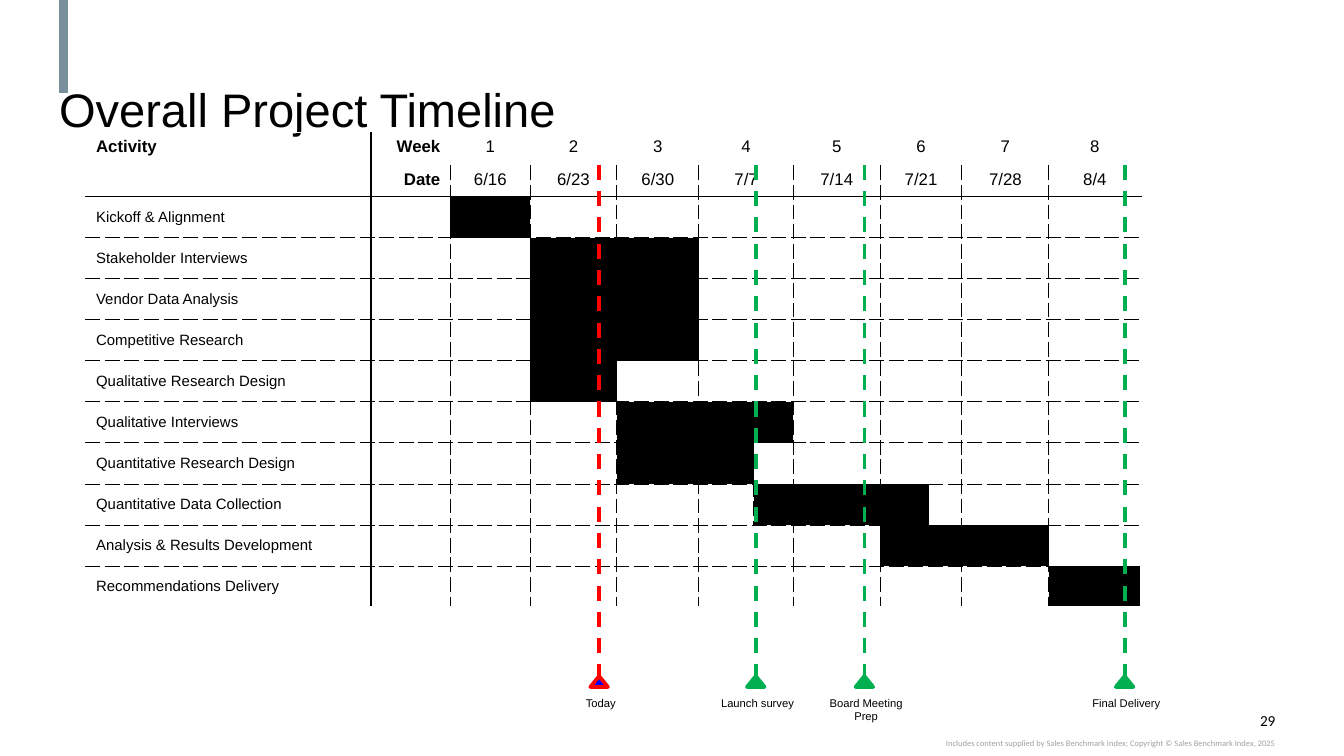
import pptx
import pptx.util
import pptx.dml.color
import pptx.enum.text
import pptx.enum.shapes
import pptx.enum.dml
import pptx.oxml.ns
import lxml.etree

Pt = pptx.util.Pt
ALIGN = pptx.enum.text.PP_ALIGN
ANCHOR = pptx.enum.text.MSO_ANCHOR
qn = pptx.oxml.ns.qn

HUES = {
    "ink": "000000",
    "paper": "FFFFFF",
    "slate": "78909C",
    "mute": "A0A0A0",
    "green": "00B050",
    "red": "FF0000",
    "blue": "0000FF",
}

WIDTHS = [152.6, 42.6, 42.8, 46.4, 44, 29.4, 21.2, 46.6, 26, 17.8, 46.6, 49.3]
HEIGHTS = [17.6, 16.7] + [22] * 10
WEEKS = [
    (2, "1", "6/16"), (3, "2", "6/23"), (4, "3", "6/30"), (5, "4", "7/7"),
    (7, "5", "7/14"), (8, "6", "7/21"), (10, "7", "7/28"), (11, "8", "8/4"),
]
TASKS = [
    ("Kickoff & Alignment", 2, 2),
    ("Stakeholder Interviews", 3, 4),
    ("Vendor Data Analysis", 3, 4),
    ("Competitive Research", 3, 4),
    ("Qualitative Research Design", 3, 3),
    ("Qualitative Interviews", 4, 6),
    ("Quantitative Research Design", 4, 5),
    ("Quantitative Data Collection", 6, 8),
    ("Analysis & Results Development", 8, 10),
    ("Recommendations Delivery", 11, 11),
]
SPLITS = {5: (8, 9), 8: (9,)}
MARKS = [
    ("Board Meeting Prep", 463.1, "green", "green"),
    ("Final Delivery", 602.5, "green", "green"),
    ("Today", 321, "red", "blue"),
    ("Launch survey", 404.9, "green", "green"),
]


class Deck:
    font = "Arial"

    def __init__(self, width, height):
        self.show = pptx.Presentation()
        self.show.slide_width = Pt(width)
        self.show.slide_height = Pt(height)
        self.slide = self.show.slides.add_slide(self.show.slide_layouts[5])

    def color(self, name):
        return pptx.dml.color.RGBColor.from_string(HUES[name])

    def words(self, frame, text, size, align=ALIGN.LEFT, hue="ink", bold=False, font=None):
        frame.text = text
        for para in frame.paragraphs:
            para.alignment = align
            for run in para.runs:
                run.font.name = font or self.font
                run.font.size = Pt(size)
                run.font.bold = bold
                run.font.color.rgb = self.color(hue)

    def title(self, text, left, top, width, height, size):
        shape = self.slide.shapes.title
        shape.left, shape.top = Pt(left), Pt(top)
        shape.width, shape.height = Pt(width), Pt(height)
        frame = shape.text_frame
        frame.auto_size = pptx.enum.text.MSO_AUTO_SIZE.NONE
        frame.margin_left = frame.margin_right = Pt(7.2)
        frame.margin_top = frame.margin_bottom = Pt(7.2)
        frame.vertical_anchor = ANCHOR.MIDDLE
        self.words(frame, text, size)

    def label(self, text, left, top, width, height, size, inset=(0, 0), **look):
        box = self.slide.shapes.add_textbox(Pt(left), Pt(top), Pt(width), Pt(height))
        frame = box.text_frame
        frame.word_wrap = True
        frame.margin_left = frame.margin_right = Pt(inset[0])
        frame.margin_top = frame.margin_bottom = Pt(inset[1])
        self.words(frame, text, size, **look)

    def upright(self, x, top, end, hue, weight, dash=False):
        line = self.slide.shapes.add_connector(
            pptx.enum.shapes.MSO_CONNECTOR.STRAIGHT, Pt(x), Pt(top), Pt(x), Pt(end))
        line.line.color.rgb = self.color(hue)
        line.line.width = Pt(weight)
        if dash:
            line.line.dash_style = pptx.enum.dml.MSO_LINE.DASH
        lxml.etree.SubElement(line._element.spPr, qn("a:effectLst"))

    def wedge(self, x, top, width, height, hue, fill):
        shape = self.slide.shapes.add_shape(
            pptx.enum.shapes.MSO_SHAPE.ISOSCELES_TRIANGLE,
            Pt(x - width / 2), Pt(top), Pt(width), Pt(height))
        shape.shadow.inherit = False
        shape.fill.solid()
        shape.fill.fore_color.rgb = self.color(fill)
        shape.line.color.rgb = self.color(hue)
        shape.line.width = Pt(2)

    def mark(self, text, x, hue, fill):
        self.label(text, x - 32.1, 369.4, 66, 14.4, 6, inset=(7.2, 3.6), align=ALIGN.CENTER)
        self.upright(x, 88.3, 362.2, hue, 2, dash=True)
        self.wedge(x, 362.2, 9.4, 5.8, hue, fill)

    def border(self, cell, edges):
        props = cell._tc.get_or_add_tcPr()
        for place, (side, (hue, weight, dash)) in enumerate(edges.items()):
            line = lxml.etree.Element(qn("a:ln" + side), w=str(Pt(weight)))
            if hue is None:
                lxml.etree.SubElement(line, qn("a:noFill"))
            else:
                fill = lxml.etree.SubElement(line, qn("a:solidFill"))
                lxml.etree.SubElement(fill, qn("a:srgbClr"), val=HUES[hue])
                lxml.etree.SubElement(line, qn("a:prstDash"), val=dash)
            props.insert(place, line)

    def table(self, left, top, widths, heights):
        frame = self.slide.shapes.add_table(
            len(heights), len(widths), Pt(left), Pt(top), Pt(sum(widths)), Pt(sum(heights)))
        grid = frame.table
        grid.first_row = grid.horz_banding = False
        for column, width in zip(grid.columns, widths):
            column.width = Pt(width)
        for row, height in zip(grid.rows, heights):
            row.height = Pt(height)
        return grid

    def cell(self, cell, text, size, align, bold, full, edges):
        cell.margin_left = cell.margin_right = Pt(5.4)
        cell.margin_top = cell.margin_bottom = Pt(2.7)
        self.words(cell.text_frame, text, size, align=align, bold=bold)
        if not text:
            para = cell.text_frame.paragraphs[0]._p
            lxml.etree.SubElement(para, qn("a:endParaRPr"), sz="800")
        if full:
            cell.fill.solid()
            cell.fill.fore_color.rgb = self.color("ink")
        else:
            cell.fill.background()
        self.border(cell, edges)


def rules(row, col):
    dash, solid = ("ink", 0.5, "dash"), ("ink", 1, "solid")
    white, none = ("paper", 1, "solid"), (None, 1, "solid")
    last, end = len(HEIGHTS) - 1, len(WIDTHS) - 1
    inner = white if row == 0 else dash
    return {
        "L": white if col == 0 else solid if col == 1 else inner,
        "R": solid if col == 0 else white if col == end else inner,
        "T": {0: white, 1: none, 2: solid}.get(row, dash),
        "B": {0: none, 1: solid, last: white}.get(row, dash),
    }


def chart(deck):
    grid = deck.table(46.1, 71, WIDTHS, HEIGHTS)
    texts = {(0, 0): "Activity", (0, 1): "Week", (1, 1): "Date"}
    for col, week, date in WEEKS:
        texts[0, col], texts[1, col] = week, date
    for row, task in enumerate(TASKS, 2):
        texts[row, 0] = task[0]
    for row in range(len(HEIGHTS)):
        for col, split in SPLITS.items():
            if row not in split:
                grid.cell(row, col).merge(grid.cell(row, col + 1))
        for col in range(len(WIDTHS)):
            head = row < 2
            full = not head and TASKS[row - 2][1] <= col <= TASKS[row - 2][2]
            align = {0: ALIGN.LEFT, 1: ALIGN.RIGHT}.get(col, ALIGN.CENTER)
            cell = grid.cell(row, col)
            deck.cell(cell, texts.get((row, col), ""), 9 if head else 8, align,
                      head and col < 2, full, rules(row, col))
            if not head:
                cell.vertical_anchor = ANCHOR.MIDDLE


def main():
    deck = Deck(720, 405)
    deck.upright(34.1, 0, 50, "slate", 5)
    deck.label("29", 665.3, 380.9, 18, 10.1, 8.2, align=ALIGN.RIGHT, font="Calibri")
    deck.label("Includes content supplied by Sales Benchmark Index; "
               "Copyright © Sales Benchmark Index, 2025",
               404.6, 395.3, 278.6, 5.8, 4.5, align=ALIGN.RIGHT, hue="mute", font="Calibri")
    deck.title("Overall Project Timeline", 24.5, 35.3, 671, 45.4, 25.2)
    chart(deck)
    for mark in MARKS:
        deck.mark(*mark)
    deck.show.save("out.pptx")


if __name__ == "__main__":
    main()
